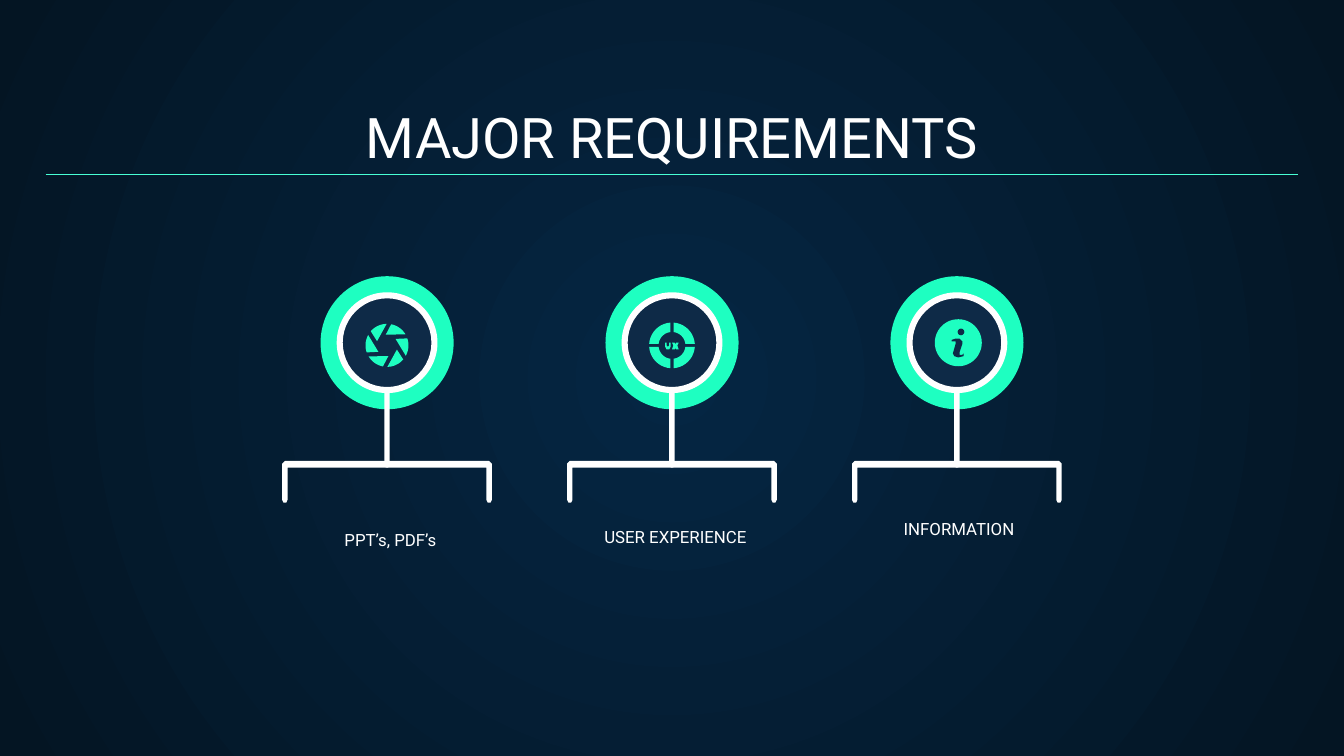
"""Build the "Major requirements" slide: three ringed icons with brackets and labels."""
from dataclasses import dataclass
from math import cos, radians, sin
from typing import Callable

from lxml import etree
from pptx import Presentation
from pptx.dml.color import RGBColor
from pptx.enum.shapes import MSO_CONNECTOR, MSO_SHAPE
from pptx.enum.text import MSO_ANCHOR, MSO_AUTO_SIZE, PP_ALIGN
from pptx.oxml.ns import qn
from pptx.util import Inches, Pt

OVAL, DONUT, ROUNDED = MSO_SHAPE.OVAL, MSO_SHAPE.DONUT, MSO_SHAPE.ROUNDED_RECTANGLE
STRAIGHT = MSO_CONNECTOR.STRAIGHT
BOTTOM, CENTER, NO_FIT = MSO_ANCHOR.BOTTOM, PP_ALIGN.CENTER, MSO_AUTO_SIZE.NONE

COLORS = {"glow": "052643", "edge": "041523", "white": "FFFFFF",
          "mint": "1EFFC1", "navy": "0E2A47", "rule": "48FFD5"}
FONT = "Roboto"
RING_Y = 2.55
BRACKET = [(-0.76, 3.43), (0.76, 3.43), (0.78, 3.45), (0.78, 3.72), (0.77, 3.74),
           (0.75, 3.74), (0.74, 3.72), (0.74, 3.48), (-0.74, 3.48), (-0.74, 3.72),
           (-0.75, 3.74), (-0.77, 3.74), (-0.78, 3.72), (-0.78, 3.45)]
LETTER_U = [(-0.05, -0.02), (-0.04, -0.02), (-0.04, 0), (-0.03, 0.01), (-0.02, 0),
            (-0.02, -0.02), (-0.01, -0.02), (-0.01, 0.01), (-0.02, 0.03),
            (-0.04, 0.03), (-0.05, 0.01)]
LETTER_X = [(0, -0.02), (0.02, -0.02), (0.03, -0.01), (0.03, -0.02), (0.05, -0.02),
            (0.04, 0), (0.05, 0.03), (0.03, 0.03), (0.03, 0.02), (0.02, 0.03),
            (0, 0.03), (0.01, 0)]
LETTER_I = [(-0.05, -0.02), (-0.02, -0.03), (0.01, -0.03), (0.03, -0.01), (0.03, 0.01),
            (0.01, 0.07), (0.01, 0.09), (0.03, 0.09), (0.04, 0.08), (0.04, 0.1),
            (0, 0.11), (-0.03, 0.1), (-0.04, 0.08), (-0.02, 0.01), (-0.02, -0.01),
            (-0.05, -0.01)]

Point = tuple[float, float]


@dataclass
class Requirement:
    """A column of the slide."""
    label: str
    x: float
    label_left: float
    label_top: float
    draw_icon: Callable


def paint(sp, color: str) -> None:
    """Give a shape a flat fill without line or shadow."""
    sp.shadow.inherit = False
    sp.fill.solid()
    sp.fill.fore_color.rgb = RGBColor.from_string(COLORS[color])
    sp.line.fill.background()


def add_round(shapes, kind: MSO_SHAPE, x: float, y: float, diameter: float, color: str):
    """Draw a round preset shape about its centre."""
    sp = shapes.add_shape(kind, Inches(x - diameter / 2), Inches(y - diameter / 2),
                          Inches(diameter), Inches(diameter))
    paint(sp, color)
    return sp


def add_polygon(shapes, x: float, y: float, points: list[Point], color: str) -> None:
    """Draw a closed outline whose points are offsets from x, y."""
    pts = [(Inches(x + dx), Inches(y + dy)) for dx, dy in points]
    builder = shapes.build_freeform(*pts[0])
    builder.add_line_segments(pts[1:], close=True)
    paint(builder.convert_to_shape(), color)


def arc(radius: float, start: float, end: float, steps: int = 10) -> list[Point]:
    """Return points along an arc, angles in degrees clockwise from the right."""
    angles = [radians(start + (end - start) * i / steps) for i in range(steps + 1)]
    return [(radius * cos(a), radius * sin(a)) for a in angles]


def draw_aperture(shapes, x: float) -> None:
    """Draw six camera blades."""
    for turn in range(0, 360, 60):
        blade = arc(0.16, 221 + turn, 269 + turn) + [arc(0.08, 203 + turn, 203 + turn, 1)[0]]
        add_polygon(shapes, x, 2.57, blade, "mint")


def draw_ux(shapes, x: float) -> None:
    """Draw a split ring around the letters UX."""
    for turn in range(0, 360, 90):
        quarter = arc(0.17, 4 + turn, 86 + turn) + arc(0.1, 83 + turn, 7 + turn)
        add_polygon(shapes, x, 2.57, quarter, "mint")
    for letter in (LETTER_U, LETTER_X):
        add_polygon(shapes, x, 2.57, letter, "mint")


def draw_info(shapes, x: float) -> None:
    """Draw a disc with an italic i."""
    add_round(shapes, OVAL, x + 0.01, RING_Y, 0.35, "mint")
    add_round(shapes, OVAL, x + 0.03, 2.47, 0.05, "navy")
    add_polygon(shapes, x + 0.01, RING_Y, LETTER_I, "navy")


def add_text(shapes, text: str, left: float, top: float, width: float, height: float,
             size: int) -> None:
    """Add a centred, bottom-anchored line of text."""
    tf = shapes.add_textbox(Inches(left), Inches(top), Inches(width), Inches(height)).text_frame
    tf.word_wrap = True
    tf.auto_size = NO_FIT
    tf.vertical_anchor = BOTTOM
    tf.margin_left = tf.margin_right = tf.margin_top = tf.margin_bottom = Inches(0.1)
    p = tf.paragraphs[0]
    p.text = text
    p.alignment = CENTER
    p.font.name = FONT
    p.font.size = Pt(size)
    p.font.color.rgb = RGBColor.from_string(COLORS["white"])


def add_requirement(shapes, item: Requirement) -> None:
    """Draw one column: bracket, rings, stem, icon and label."""
    add_polygon(shapes, item.x, 0, BRACKET, "white")
    add_round(shapes, OVAL, item.x, RING_Y, 0.99, "mint")
    stem = shapes.add_shape(ROUNDED, Inches(item.x - 0.02), Inches(2.48), Inches(0.04), Inches(1))
    stem.adjustments[0] = 0.5
    paint(stem, "white")
    add_round(shapes, OVAL, item.x, RING_Y, 0.7, "navy")
    ring = add_round(shapes, DONUT, item.x, RING_Y, 0.75, "white")
    ring.adjustments[0] = 0.06
    item.draw_icon(shapes, item.x)
    add_text(shapes, item.label, item.label_left, item.label_top, 2.27, 0.21, 9)


def set_background(s) -> None:
    """Fill the slide with a radial gradient."""
    fill = s.background.fill
    fill.gradient()
    for stop, color, position in zip(fill.gradient_stops, ("glow", "edge"), (0, 1)):
        stop.color.rgb = RGBColor.from_string(COLORS[color])
        stop.position = position
    grad = s.element.find(".//" + qn("a:gradFill"))
    grad.remove(grad.find(qn("a:lin")))
    radial = etree.SubElement(grad, qn("a:path"), {"path": "circle"})
    etree.SubElement(radial, qn("a:fillToRect"), dict.fromkeys("ltrb", "50000"))


def add_rule(shapes) -> None:
    """Draw the line under the title."""
    rule = shapes.add_connector(STRAIGHT, Inches(0.34), Inches(1.3), Inches(9.66), Inches(1.3))
    rule.line.color.rgb = RGBColor.from_string(COLORS["rule"])
    rule.line.width = Pt(0.75)
    etree.SubElement(rule.element.spPr, qn("a:effectLst"))


def main() -> None:
    """Build and save the slide."""
    prs = Presentation()
    prs.slide_width = Inches(10)
    prs.slide_height = prs.slide_width * 9 // 16
    s = prs.slides.add_slide(prs.slide_layouts[6])
    set_background(s)
    add_text(s.shapes, "MAJOR REQUIREMENTS", 0.34, 0.7, 9.32, 0.66, 30)
    for item in (Requirement("PPT’s, PDF’s", 2.88, 1.77, 3.98, draw_aperture),
                 Requirement("USER EXPERIENCE", 5, 3.89, 3.96, draw_ux),
                 Requirement("INFORMATION", 7.12, 6, 3.9, draw_info)):
        add_requirement(s.shapes, item)
    add_rule(s.shapes)
    prs.save("out.pptx")


if __name__ == "__main__":
    main()
